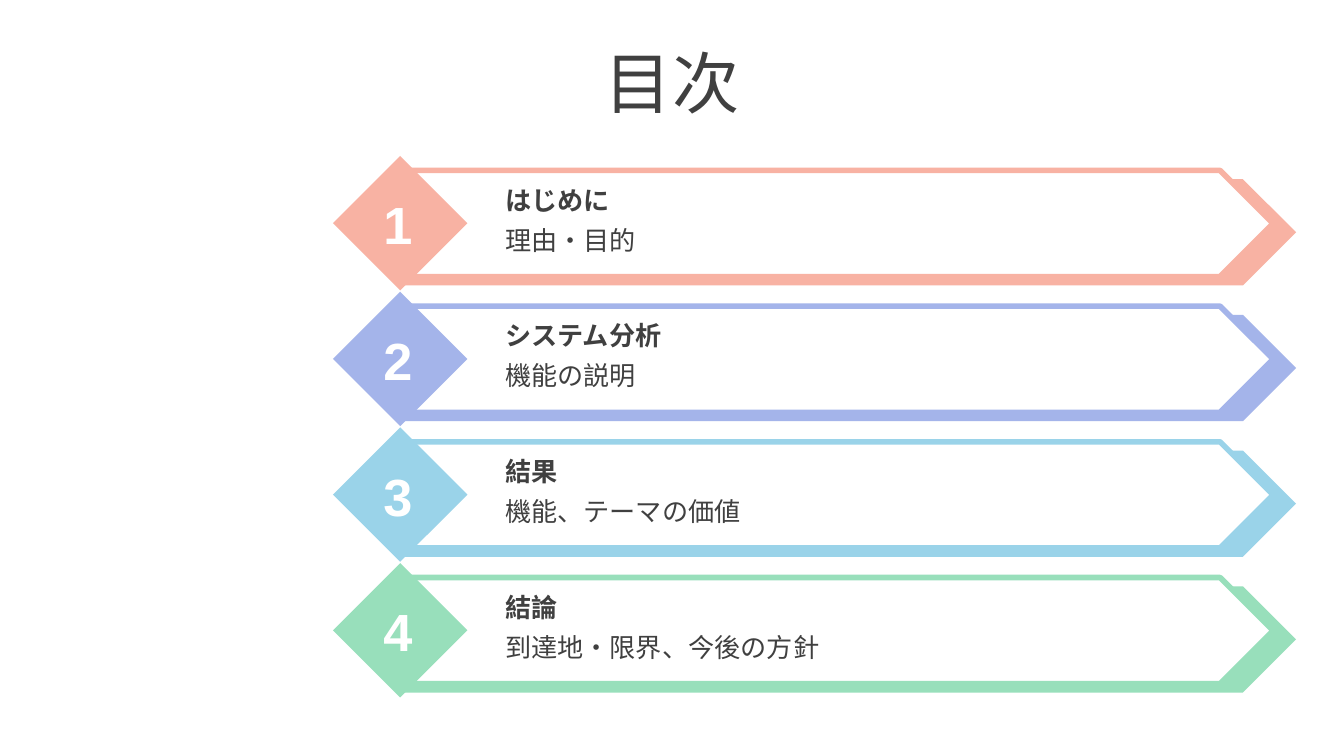
from pptx import Presentation
from pptx.dml.color import RGBColor
from pptx.enum.shapes import MSO_SHAPE
from pptx.enum.text import MSO_ANCHOR, MSO_AUTO_SIZE, PP_ALIGN
from pptx.util import Pt

TITLE = "目次"
ITEMS = [
    ("はじめに", "理由・目的", "F8B2A3"),
    ("システム分析", "機能の説明", "A4B4EA"),
    ("結果", "機能、テーマの価値", "9AD3E9"),
    ("結論", "到達地・限界、今後の方針", "98DFBB"),
]
THEME = {
    "font": "Arial", "ink": "404040", "paper": "FFFFFF",
    "title": 36, "number": 28, "text": 14, "line": 3,
}

# Left, top, width and height of each part in the first row, in points
BACK = (216.3, 96, 478, 56.9)
FRONT = (216.3, 91.3, 465.8, 56.9)
GEM = (178.4, 83.6, 72, 72)
NUMBER = (197.3, 99.4, 31.7, 41)
HEAD = (263.5, 95.1, 374.4, 24.5)
DETAIL = (263.5, 116.5, 374.4, 24.5)
PITCH = 72.7


def color(name):
    return RGBColor.from_string(THEME.get(name, name))


def place(part, row):
    left, top, width, height = part
    return Pt(left), Pt(round(top + row * PITCH, 2)), Pt(width), Pt(height)


def write(frame, text, size, ink="ink", bold=False,
          align=PP_ALIGN.LEFT, anchor=MSO_ANCHOR.TOP):
    frame.word_wrap = True
    frame.auto_size = MSO_AUTO_SIZE.NONE
    frame.vertical_anchor = anchor
    para = frame.paragraphs[0]
    para.alignment = align
    run = para.add_run()
    run.text = text
    run.font.name = THEME["font"]
    run.font.size = Pt(THEME[size])
    run.font.bold = bold
    run.font.color.rgb = color(ink)


def draw(shapes, kind, box, fill, line=None):
    shape = shapes.add_shape(kind, *box)
    shape.shadow.inherit = False
    shape.fill.solid()
    shape.fill.fore_color.rgb = color(fill)
    if line:
        shape.line.color.rgb = color(line)
        shape.line.width = Pt(THEME["line"])
    else:
        shape.line.fill.background()


def add_item(shapes, row, head, detail, tint):
    draw(shapes, MSO_SHAPE.PENTAGON, place(BACK, row), tint)
    draw(shapes, MSO_SHAPE.PENTAGON, place(FRONT, row), "paper", tint)
    draw(shapes, MSO_SHAPE.DIAMOND, place(GEM, row), tint)
    box = shapes.add_textbox(*place(NUMBER, row))
    write(box.text_frame, str(row + 1), "number", "paper", True,
          PP_ALIGN.CENTER, MSO_ANCHOR.MIDDLE)
    for part, text, bold in ((HEAD, head, True), (DETAIL, detail, False)):
        box = shapes.add_textbox(*place(part, row))
        write(box.text_frame, text, "text", bold=bold)


def main():
    deck = Presentation()
    deck.slide_width, deck.slide_height = Pt(720), Pt(405)
    slide = deck.slides.add_slide(deck.slide_layouts.get_by_name("Title Only"))
    title = slide.shapes.title
    title.left, title.top, title.width, title.height = place((0, 21, 720, 45), 0)
    write(title.text_frame, TITLE, "title",
          align=PP_ALIGN.CENTER, anchor=MSO_ANCHOR.MIDDLE)
    for row, item in enumerate(ITEMS):
        add_item(slide.shapes, row, *item)
    deck.save("out.pptx")


if __name__ == "__main__":
    main()
